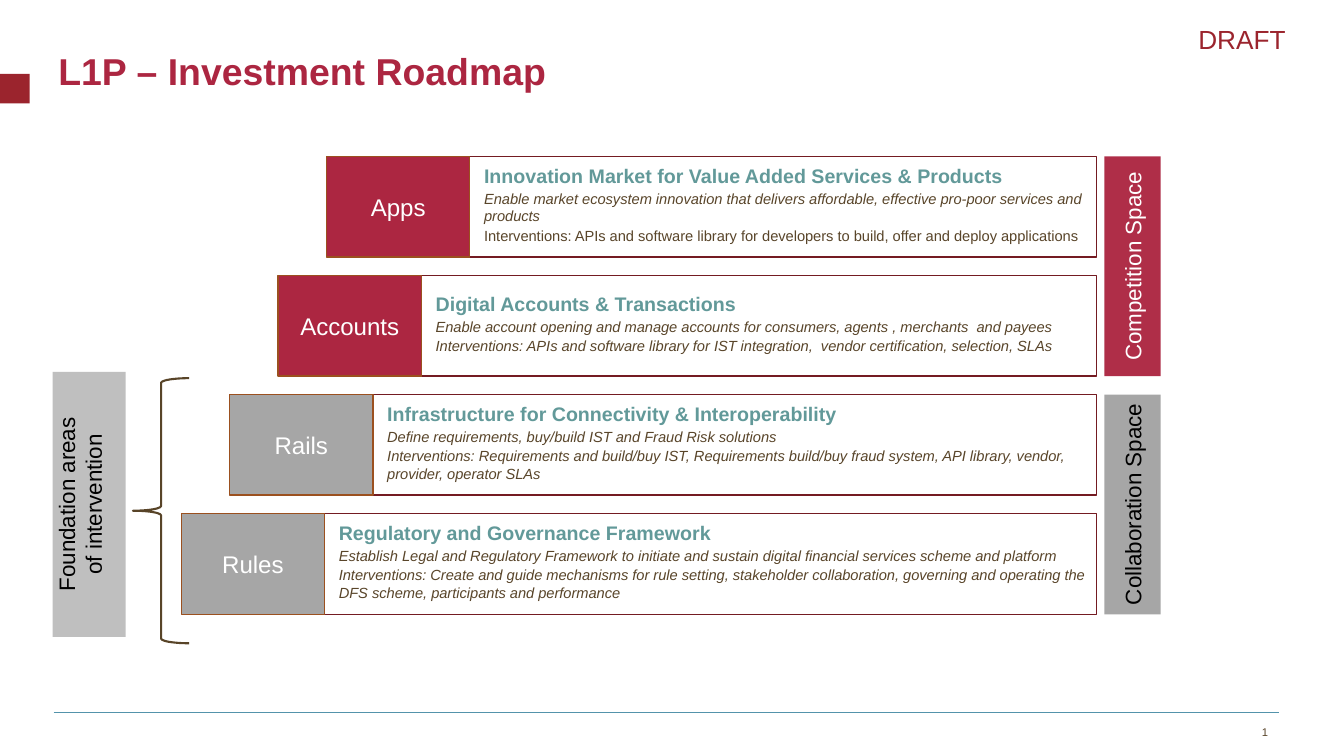
import pptx
import pptx.util
import pptx.dml.color
import pptx.enum.shapes
import pptx.enum.text
import pptx.oxml
import pptx.oxml.ns
from lxml import etree

Cm = pptx.util.Cm
Pt = pptx.util.Pt
RGBColor = pptx.dml.color.RGBColor
MSO_SHAPE = pptx.enum.shapes.MSO_SHAPE
PP_ALIGN = pptx.enum.text.PP_ALIGN
MSO_ANCHOR = pptx.enum.text.MSO_ANCHOR
qn = pptx.oxml.ns.qn

WHITE = RGBColor(0xFF, 0xFF, 0xFF)
BLACK = RGBColor(0x00, 0x00, 0x00)
CRIMSON = RGBColor(0xAC, 0x26, 0x41)
BRICK = RGBColor(0x9B, 0x24, 0x2D)
MAROON = RGBColor(0x74, 0x1B, 0x22)
RUST = RGBColor(0x9B, 0x50, 0x1F)
TEAL = RGBColor(0x62, 0x99, 0x99)
BLUE = RGBColor(0x53, 0x93, 0xAB)
BROWN = RGBColor(0x59, 0x45, 0x2A)
DARK_BROWN = RGBColor(0x58, 0x44, 0x28)
GRAY = RGBColor(0xA6, 0xA6, 0xA6)
LIGHT_GRAY = RGBColor(0xBF, 0xBF, 0xBF)

# Label, label colour, heading, aim, interventions, italic interventions
LAYERS = [
    ("Apps", CRIMSON, "Innovation Market for Value Added Services & Products",
     "Enable market ecosystem innovation that delivers affordable, effective "
     "pro-poor services and products",
     "Interventions: APIs and software library for developers to build, offer "
     "and deploy applications", False),
    ("Accounts", CRIMSON, "Digital Accounts & Transactions",
     "Enable account opening and manage accounts for consumers, agents , "
     "merchants  and payees",
     "Interventions: APIs and software library for IST integration,  vendor "
     "certification, selection, SLAs", True),
    ("Rails", GRAY, "Infrastructure for Connectivity & Interoperability",
     "Define requirements, buy/build IST and Fraud Risk solutions",
     "Interventions: Requirements and build/buy IST, Requirements build/buy "
     "fraud system, API library, vendor, provider, operator SLAs", True),
    ("Rules", GRAY, "Regulatory and Governance Framework",
     "Establish Legal and Regulatory Framework to initiate and sustain digital "
     "financial services scheme and platform",
     "Interventions: Create and guide mechanisms for rule setting, stakeholder "
     "collaboration, governing and operating the DFS scheme, participants and "
     "performance", True),
]
TOP, PITCH, HEIGHT = 3.94, 3.0, 2.54
LABEL_LEFT, STEP, LABEL_WIDTH = 8.23, 1.22, 3.61
PANEL_RIGHT = 27.64


def write(tf, text, size, color, bold=False, italic=False,
          align=PP_ALIGN.LEFT, after=0):
    """Fill the first paragraph if it is empty, otherwise add one."""
    p = tf.paragraphs[0]
    if p.runs:
        p = tf.add_paragraph()
    p.alignment = align
    p.space_before = Pt(0)
    p.space_after = Pt(after)
    r = p.add_run()
    r.text = text
    r.font.name = "Arial"
    r.font.size = Pt(size)
    r.font.color.rgb = color
    r.font.bold = bold
    r.font.italic = italic
    return p


def set_frame(tf, margins=(0, 0, 0, 0), anchor=MSO_ANCHOR.MIDDLE, wrap=True):
    """Margins run left, top, right, bottom in centimetres."""
    (tf.margin_left, tf.margin_top,
     tf.margin_right, tf.margin_bottom) = map(Cm, margins)
    tf.vertical_anchor = anchor
    tf.word_wrap = wrap


def add_box(s, left, top, width, height, fill=None, line=None, weight=1,
            kind=MSO_SHAPE.RECTANGLE):
    sp = s.shapes.add_shape(kind, Cm(left), Cm(top), Cm(width), Cm(height))
    sp.shadow.inherit = False
    if fill is None:
        sp.fill.background()
    else:
        sp.fill.solid()
        sp.fill.fore_color.rgb = fill
    if line is None:
        sp.line.fill.background()
    else:
        sp.line.color.rgb = line
        sp.line.width = Pt(weight)
    return sp


def add_text(s, left, top, width, height, wrap=True, margins=(0, 0, 0, 0)):
    tf = s.shapes.add_textbox(
        Cm(left), Cm(top), Cm(width), Cm(height)).text_frame
    set_frame(tf, margins, MSO_ANCHOR.TOP, wrap)
    return tf


def add_title(s, text):
    title = s.shapes.title
    title.left, title.top = Cm(1.22), Cm(1.09)
    title.width, title.height = Cm(12.93), Cm(1.4)
    set_frame(title.text_frame, (0.25, 0.13, 0.25, 0.13),
              MSO_ANCHOR.TOP, wrap=False)
    write(title.text_frame, text, 26.7, CRIMSON, bold=True)


def add_layer(s, index, label, color, heading, aim, interventions, italic):
    """One step of the staircase: a label and the panel beside it."""
    top = TOP + index * PITCH
    left = LABEL_LEFT - index * STEP
    panel_left = left + LABEL_WIDTH
    panel = add_box(s, panel_left, top, PANEL_RIGHT - panel_left, HEIGHT,
                    WHITE, MAROON)
    tf = panel.text_frame
    set_frame(tf, (0.36, 0, 0.13, 0.13))
    write(tf, heading, 14, TEAL, bold=True, after=1.4)
    write(tf, aim, 10.5, BROWN, italic=True, after=1.4)
    write(tf, interventions, 10.5, BROWN, italic=italic, after=1.4)

    tf = add_box(s, left, top, LABEL_WIDTH, HEIGHT, color, RUST).text_frame
    set_frame(tf)
    write(tf, label, 17.2, WHITE, align=PP_ALIGN.CENTER)


def add_space_bar(s, text, first_layer, fill, color):
    """A turned bar on the right that spans two layers."""
    length, thickness, center_x = PITCH + HEIGHT, 1.42, 28.54
    center_y = TOP + first_layer * PITCH + length / 2
    sp = add_box(s, center_x - length / 2, center_y - thickness / 2,
                 length, thickness, fill)
    sp.rotation = 270
    set_frame(sp.text_frame, (0, 0.13, 0, 0.13))
    write(sp.text_frame, text, 16, color, align=PP_ALIGN.CENTER)
    return sp


def set_opacity(sp, percent):
    rgb = sp.fill._xPr.find(qn("a:solidFill"))[0]
    etree.SubElement(rgb, qn("a:alpha")).set("val", str(percent * 1000))


def add_foundation(s):
    add_box(s, 3.35, 9.53, 1.42, 6.68, line=DARK_BROWN, weight=1.5,
            kind=MSO_SHAPE.LEFT_BRACE)
    tf = add_box(s, 1.33, 9.37, 1.84, 6.68, LIGHT_GRAY).text_frame
    set_frame(tf, anchor=MSO_ANCHOR.TOP)
    tf._txBody.bodyPr.set("vert", "vert270")
    for text in ("Foundation areas", "of intervention"):
        write(tf, text, 16, BLACK, align=PP_ALIGN.CENTER)


def add_footer(s):
    rule = s.shapes.add_connector(pptx.enum.shapes.MSO_CONNECTOR.STRAIGHT,
                                  Cm(1.35), Cm(17.96), Cm(32.23), Cm(17.96))
    rule.line.color.rgb = BLUE
    rule.line.width = Pt(0.5)
    etree.SubElement(rule._element.spPr, qn("a:effectLst"))
    tf = add_text(s, 31.55, 18.14, 1.07, 0.91,
                  margins=(0.25, 0.13, 0.25, 0.13))
    number = write(tf, "4", 8, BROWN).runs[0]._r
    number.tag = qn("a:fld")
    number.set("id", "{B6F15528-21DE-4FAA-801E-634DDDAF4B2B}")
    number.set("type", "slidenum")


def main():
    prs = pptx.Presentation()
    prs.slide_width, prs.slide_height = Cm(33.87), Cm(19.05)
    s = prs.slides.add_slide(prs.slide_layouts.get_by_name("Title Only"))
    add_title(s, "L1P – Investment Roadmap")
    add_box(s, 0, 1.86, 0.75, 0.75, BRICK)
    draft = add_text(s, 30.2, 0.58, 3.38, 3.38, wrap=False)
    write(draft, "DRAFT", 18.7, BRICK)
    for index, layer in enumerate(LAYERS):
        add_layer(s, index, *layer)
    competition = add_space_bar(s, "Competition Space", 0, CRIMSON, WHITE)
    set_opacity(competition, 96)
    add_space_bar(s, "Collaboration Space", 2, GRAY, BLACK)
    add_foundation(s)
    add_footer(s)
    prs.save("out.pptx")


if __name__ == "__main__":
    main()
